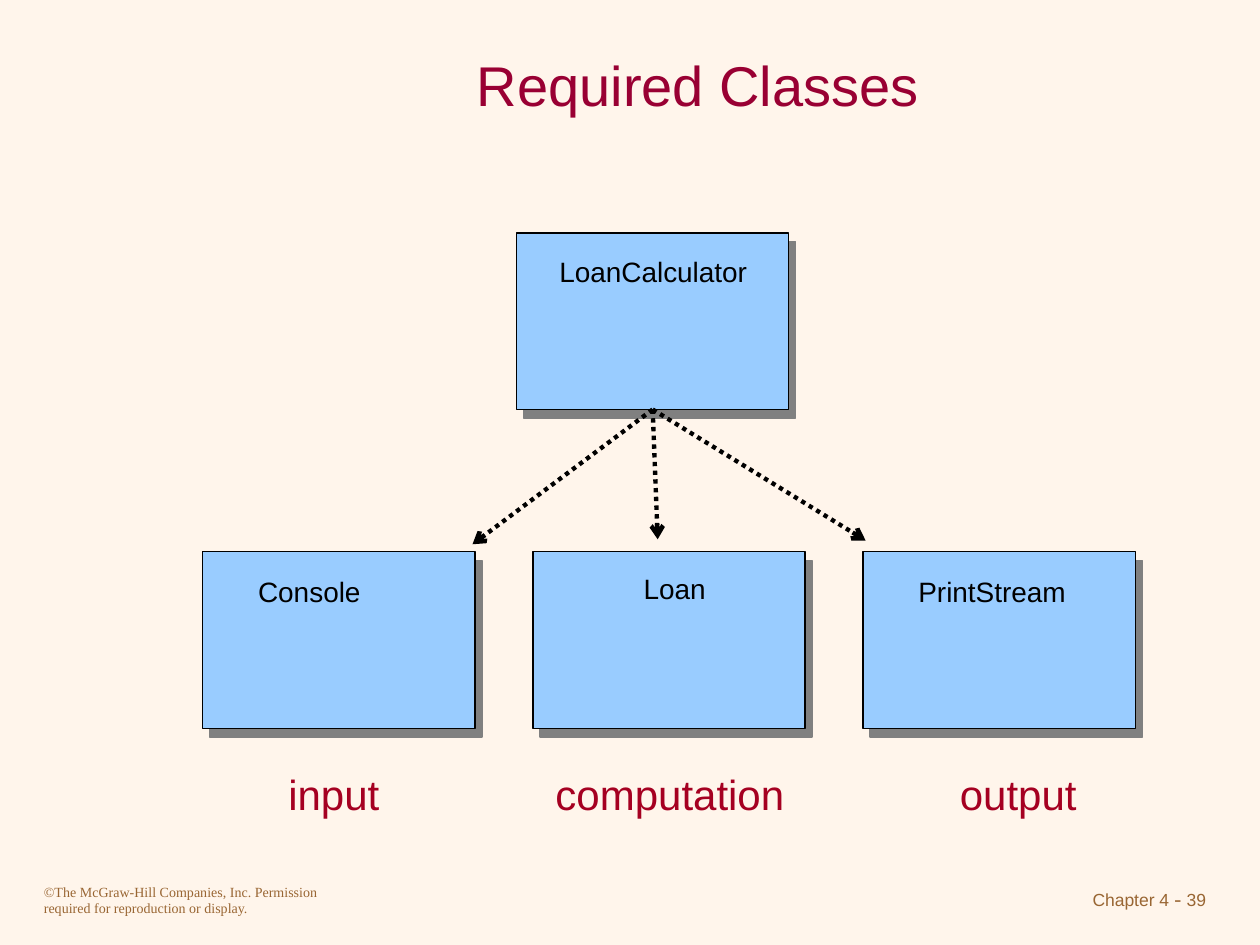
from lxml import etree
from pptx import Presentation
from pptx.dml.color import RGBColor
from pptx.enum import dml, shapes, text
from pptx.oxml import ns
from pptx.util import Inches, Pt

CREAM = RGBColor(0xFF, 0xF5, 0xEB)
WINE = RGBColor(0x99, 0x00, 0x33)
RED = RGBColor(0xA5, 0x00, 0x21)
BROWN = RGBColor(0x99, 0x66, 0x33)
SKY = RGBColor(0x99, 0xCC, 0xFF)
GREY = RGBColor(0x80, 0x80, 0x80)
BLACK = RGBColor(0, 0, 0)
SANS, SERIF = "Arial", "Times New Roman"
COLS, ROWS = 100, 75


class Deck:
    """Draws styled elements on a slide laid out as a 100 by 75 grid."""

    def __init__(self):
        self.prs = Presentation()
        self.prs.slide_width, self.prs.slide_height = Inches(10), Inches(7.5)
        self.slide = self.prs.slides.add_slide(self.prs.slide_layouts[6])
        fill = self.slide.background.fill
        fill.solid()
        fill.fore_color.rgb = CREAM

    def x(self, col):
        return round(self.prs.slide_width * col / COLS)

    def y(self, row):
        return round(self.prs.slide_height * row / ROWS)

    def place(self, col, row, wide, high):
        return self.x(col), self.y(row), self.x(wide), self.y(high)

    def label(self, area, runs, color, align="LEFT", wrap=True, middle=False):
        frame = self.slide.shapes.add_textbox(*self.place(*area)).text_frame
        frame.word_wrap = wrap
        if not wrap:
            frame.auto_size = text.MSO_AUTO_SIZE.SHAPE_TO_FIT_TEXT
        if middle:
            frame.vertical_anchor = text.MSO_ANCHOR.MIDDLE
        para = frame.paragraphs[0]
        para.alignment = text.PP_ALIGN[align]
        for words, size, face in runs:
            run = para.add_run()
            run.text = words
            run.font.size, run.font.name = Pt(size), face
            run.font.color.rgb = color

    def box(self, col, row):
        kind = shapes.MSO_SHAPE.ROUNDED_RECTANGLE
        area = self.place(col, row, 21.6, 14)
        box = self.slide.shapes.add_shape(kind, *area)
        box.adjustments[0] = 0
        box.fill.solid()
        box.fill.fore_color.rgb = SKY
        box.line.color.rgb = BLACK
        box.line.width = Pt(0.75)
        box.shadow.inherit = False
        effects = box._element.spPr.find(ns.qn("a:effectLst"))
        shade = etree.SubElement(effects, ns.qn("a:outerShdw"), blurRad="0",
                                 dist=str(Pt(6.4)), dir=str(51 * 60000),
                                 algn="ctr", rotWithShape="0")
        etree.SubElement(shade, ns.qn("a:srgbClr"), val=str(GREY))
        return box

    def arrow(self, start, col, row):
        kind = shapes.MSO_CONNECTOR.STRAIGHT
        line = self.slide.shapes.add_connector(kind, 0, 0, self.x(col), self.y(row))
        line.begin_connect(start, 2)
        line.line.color.rgb = BLACK
        line.line.width = Pt(2.5)
        line.line.dash_style = dml.MSO_LINE.ROUND_DOT
        props = line._element.spPr
        etree.SubElement(props.find(ns.qn("a:ln")), ns.qn("a:tailEnd"), type="arrow")
        etree.SubElement(props, ns.qn("a:effectLst"))


def main():
    deck = Deck()
    deck.label((2.5, 69.6, 25, 3.7),
               [("©The McGraw-Hill Companies, Inc. Permission required for "
                 "reproduction or display.", 8, SERIF)], BROWN)
    deck.label((75, 69.8, 21.7, 3.5),
               [("Chapter 4", 10, SANS), (" - ", 12, SERIF), ("39", 10, SANS)],
               BROWN, "RIGHT")
    deck.label((15, 2.5, 80.8, 8.3), [("Required Classes", 32, SANS)], WINE,
               "CENTER", middle=True)

    root = deck.box(41, 18.5)
    deck.label((43.4, 19.7, 16.9, 3.7), [("LoanCalculator", 16, SANS)], BLACK,
               wrap=False)

    parts = [
        ("Console", (19.5, 45.1, 10.2), "input", (21.9, 9.3), (37.5, 43.2)),
        ("Loan", (50.1, 44.9, 6.9), "computation", (43.1, 20.2), (52.2, 42.8)),
        ("PrintStream", (71.9, 45.1, 13.8), "output", (75.2, 11.3), (68.7, 42.9)),
    ]
    for i, (name, spot, role, (left, wide), tip) in enumerate(parts):
        deck.box(16.1 + 26.2 * i, 43.8)
        deck.label((*spot, 3.7), [(name, 16, SANS)], BLACK, wrap=False)
        deck.arrow(root, *tip)
        deck.label((left, 60.5, wide, 5), [(role, 24, SANS)], RED, wrap=False)

    deck.prs.save("out.pptx")


if __name__ == "__main__":
    main()
